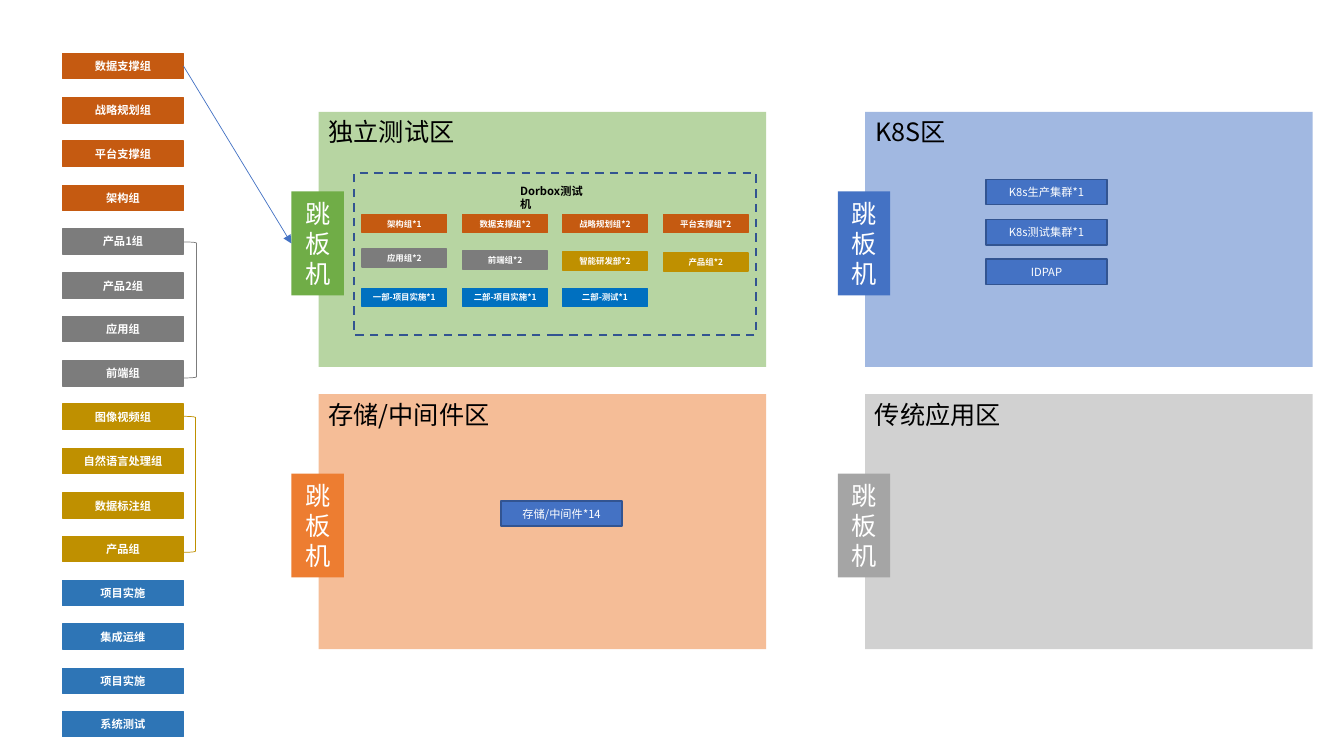
from lxml.etree import SubElement
from pptx import Presentation
from pptx.dml.color import RGBColor
from pptx.enum.dml import MSO_LINE
from pptx.enum.shapes import MSO_CONNECTOR, MSO_SHAPE
from pptx.enum.text import MSO_ANCHOR, PP_ALIGN
from pptx.oxml.ns import qn
from pptx.util import Emu, Pt

FONT = "Noto Sans CJK SC"
PX = 9144  # 100 px to the inch
RUST, GREY, GOLD, STEEL, BLUE = "C55A11", "7C7C7C", "BF9000", "2E75B6", "0070C0"
NODE, NODE_EDGE = "4472C4", "325491"
BAR_W, BAR_H = 120, 25

TEAMS = [
    (RUST, ["数据支撑组", "战略规划组", "平台支撑组", "架构组"]),
    (GREY, ["产品1组", "产品2组", "应用组", "前端组"]),
    (GOLD, ["图像视频组", "自然语言处理组", "数据标注组", "产品组"]),
    (STEEL, ["项目实施", "集成运维", "项目实施", "系统测试"]),
]
# Each row holds (label, colour, distance from the frame's top)
TEST_HOST_ROWS = [
    [("架构组*1", RUST, 41), ("数据支撑组*2", RUST, 41),
     ("战略规划组*2", RUST, 41), ("平台支撑组*2", RUST, 41)],
    [("应用组*2", GREY, 75), ("前端组*2", GREY, 77),
     ("智能研发部*2", GOLD, 78), ("产品组*2", GOLD, 79)],
    [("一部-项目实施*1", BLUE, 114), ("二部-项目实施*1", BLUE, 114),
     ("二部-测试*1", BLUE, 114)],
]


def px(*lengths):
    return [Emu(round(length * PX)) for length in lengths]


def rgb(color):
    return RGBColor.from_string(color)


def write(shape, text, size, color="FFFFFF", bold=False, align=PP_ALIGN.CENTER,
          anchor=MSO_ANCHOR.MIDDLE):
    frame = shape.text_frame
    frame.word_wrap = True
    frame.vertical_anchor = anchor
    paragraph = frame.paragraphs[0]
    paragraph.alignment = align
    run = paragraph.add_run()
    run.text = text
    font = run.font
    font.name, font.size, font.bold = FONT, Pt(size), bold
    font.color.rgb = rgb(color)
    SubElement(font._element, qn("a:ea"), typeface=FONT)


def add_box(slide, box, fill=None, line=None, weight=1, alpha=None,
            kind=MSO_SHAPE.RECTANGLE):
    shape = slide.shapes.add_shape(kind, *px(*box))
    shape.shadow.inherit = False
    if fill:
        shape.fill.solid()
        shape.fill.fore_color.rgb = rgb(fill)
    else:
        shape.fill.background()
    if alpha:
        color = shape.fill._xPr.find(".//" + qn("a:srgbClr"))
        SubElement(color, qn("a:alpha"), val=str(alpha * 1000))
    if line:
        shape.line.color.rgb = rgb(line)
        shape.line.width = Pt(weight)
    else:
        shape.line.fill.background()
    return shape


def add_label(slide, box, text, size, **style):
    label = slide.shapes.add_textbox(*px(*box))
    write(label, text, size, color="000000", align=PP_ALIGN.LEFT,
          anchor=MSO_ANCHOR.TOP, **style)


def add_zone(slide, box, title, title_width, color):
    """Tinted area with its title and the jump host on its left edge."""
    left, top, width, height = box
    add_box(slide, box, color, alpha=50)
    add_label(slide, (left, top, title_width, 40), title, 18)
    jump_host = add_box(slide, (left - 27, top + 79, 52, 103), color)
    write(jump_host, "跳板机", 18)
    return jump_host


def add_test_hosts(slide, box):
    left, top, width, height = box
    for row in TEST_HOST_ROWS:
        for column, (name, color, drop) in enumerate(row):
            host = add_box(slide, (left + 8 + round(column * 99.7), top + drop, 84, 18),
                           color, color)
            write(host, name, 6, bold=True)
    frame = add_box(slide, box, line=NODE_EDGE, weight=1.5)
    frame.line.dash_style = MSO_LINE.DASH
    add_label(slide, (left + 155, top + 6, 90, 24), "Dorbox测试机", 8, bold=True)


def add_nodes(slide, left, top, names):
    for index, name in enumerate(names):
        node = add_box(slide, (left, top + round(index * 39.5), BAR_W, BAR_H),
                       NODE, NODE_EDGE)
        write(node, name, 8)


def add_teams(slide, left, top):
    """Column of teams; returns the first one."""
    bars = []
    for color, names in TEAMS:
        for name in names:
            y = top + round(len(bars) * 43.55)
            bar = add_box(slide, (left, y, BAR_W, BAR_H), color, color)
            write(bar, name, 8, bold=True)
            bars.append(bar)
    # Brackets around the product and the AI teams
    for dx, dy, color in ((120, 187, GREY), (119, 360, GOLD)):
        add_box(slide, (left + dx, top + dy, 13, 135), line=color, weight=0.5,
                kind=MSO_SHAPE.RIGHT_BRACKET)
    return bars[0]


def add_arrow(slide, source, target):
    arrow = slide.shapes.add_connector(MSO_CONNECTOR.STRAIGHT, 0, 0, 0, 0)
    arrow.begin_connect(source, 3)
    arrow.end_connect(target, 1)
    arrow.line.color.rgb = rgb(NODE)
    arrow.line.width = Pt(0.5)
    SubElement(arrow.line._get_or_add_ln(), qn("a:tailEnd"), type="triangle")
    SubElement(arrow._element.spPr, qn("a:effectLst"))


def main():
    deck = Presentation()
    deck.slide_width, deck.slide_height = px(1333, 750)
    slide = deck.slides.add_slide(deck.slide_layouts[6])

    # Zones
    size = (444, 253)
    test_jump_host = add_zone(slide, (316, 111, *size), "独立测试区", 150, "70AD47")
    add_zone(slide, (858, 111, *size), "K8S区", 105, "4472C4")
    add_zone(slide, (316, 391, *size), "存储/中间件区", 200, "ED7D31")
    add_zone(slide, (858, 391, *size), "传统应用区", 150, "A5A5A5")

    # Machines inside the zones
    add_test_hosts(slide, (351, 172, 399, 160))
    add_nodes(slide, 497, 497, ["存储/中间件*14"])
    add_nodes(slide, 978, 178, ["K8s生产集群*1", "K8s测试集群*1", "IDPAP"])

    # Teams and their way in
    data_team = add_teams(slide, 62, 53)
    add_arrow(slide, data_team, test_jump_host)

    deck.save("out.pptx")


if __name__ == "__main__":
    main()
